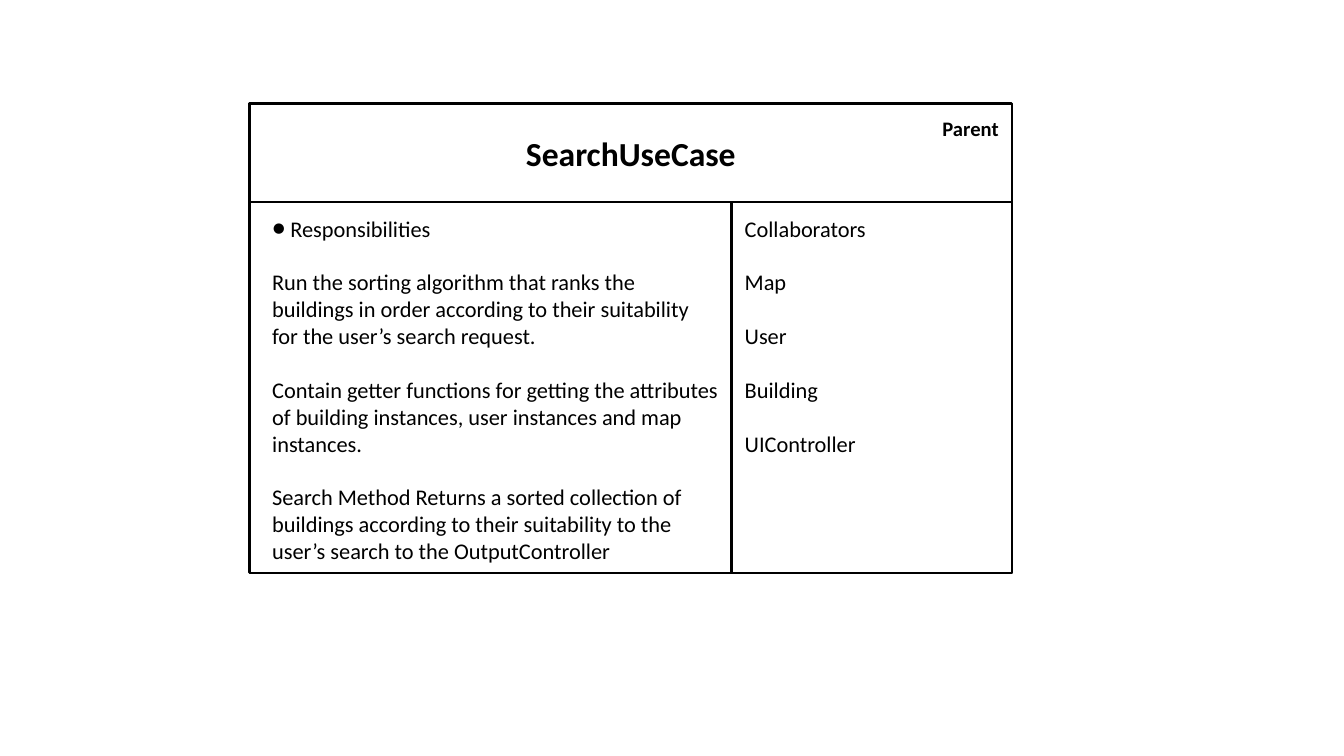
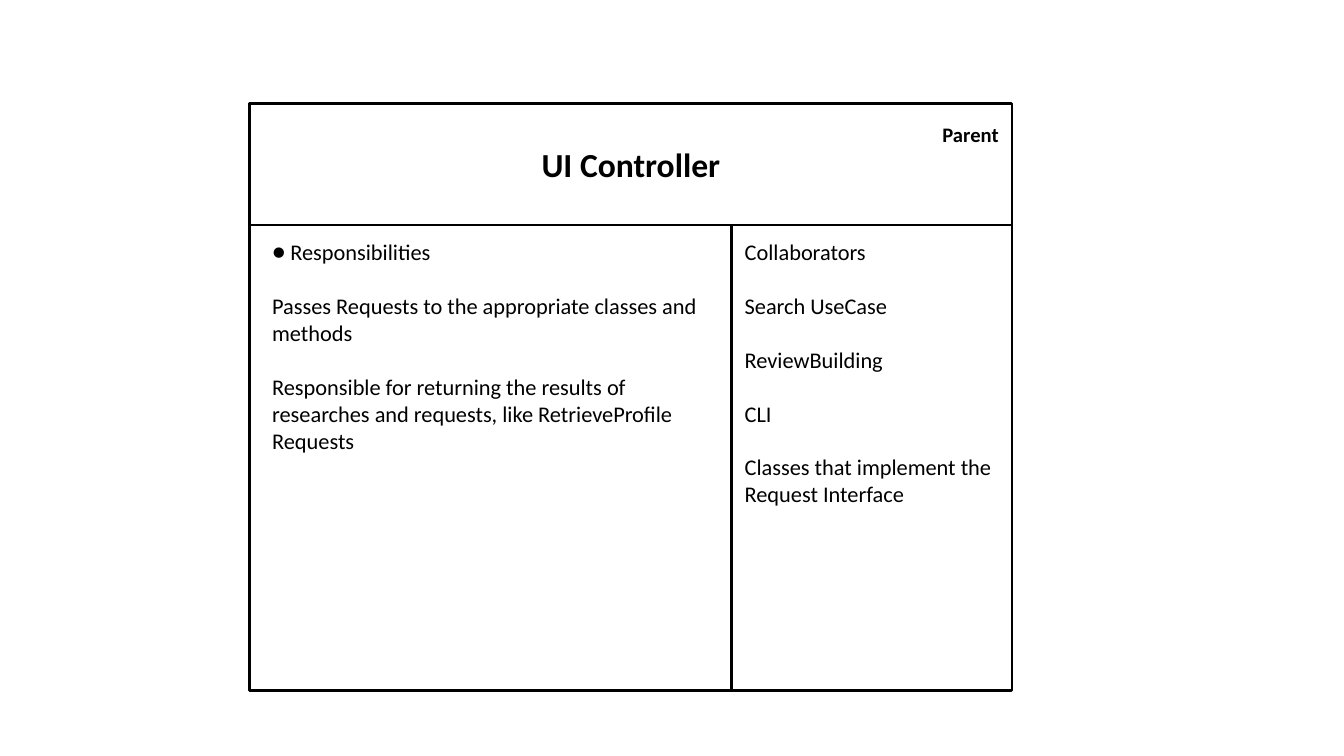
from dataclasses import dataclass
from typing import Any

from lxml import etree
from pptx import Presentation
from pptx.dml.color import RGBColor
from pptx.enum import shapes, text
from pptx.oxml import ns
from pptx.util import Pt


@dataclass(frozen=True)
class Theme:
    ink: RGBColor = RGBColor(0, 0, 0)
    paper: RGBColor = RGBColor(255, 255, 255)
    font: str = "Calibri"
    title_size: float = 24
    label_size: float = 14.7
    body_size: float = 16
    frame_line: float = 2.25
    box_line: float = 1.5
    inset: float = 9.4
    paragraph_gap: float = 19.2


@dataclass(frozen=True)
class Area:
    left: float
    top: float
    width: float
    height: float


@dataclass(frozen=True)
class Card:
    """Content of one class card, with the heights of its two rows."""
    name: str
    header_height: float
    body_height: float
    responsibilities: tuple[str, ...]
    collaborators: tuple[str, ...]


THEME = Theme()
LEFT, TOP = 178.5, 74
LEFT_COLUMN, RIGHT_COLUMN = 344, 200.3
TWO_CONTENT_LAYOUT = 3
LIST_MARGIN = 6.5
BULLET_HANG = 13

CARDS = (
    Card(
        "SearchUseCase", 70, 265,
        (
            "Run the sorting algorithm that ranks the buildings in order "
            "according to their suitability for the user’s search request.",
            "Contain getter functions for getting the attributes of building "
            "instances, user instances and map instances.",
            "Search Method Returns a sorted collection of buildings according "
            "to their suitability to the user’s search to the OutputController",
        ),
        ("Map", "User", "Building", "UIController"),
    ),
    Card(
        "UI Controller", 87, 332,
        (
            "Passes Requests to the appropriate classes and methods",
            "Responsible for returning the results of researches and requests, "
            "like RetrieveProfile Requests",
        ),
        ("Search UseCase", "ReviewBuilding", "CLI",
         "Classes that implement the Request Interface"),
    ),
)


def apply_format(target: Any, values: dict[str, Any]) -> None:
    for name, value in values.items():
        setattr(target, name, value)


def place(box: Any, area: Area) -> None:
    apply_format(box, {
        "left": Pt(area.left), "top": Pt(area.top),
        "width": Pt(area.width), "height": Pt(area.height),
    })


def outline(box: Any, line_width: float) -> None:
    box.fill.solid()
    box.fill.fore_color.rgb = THEME.paper
    box.line.color.rgb = THEME.ink
    box.line.width = Pt(line_width)


def set_indent(para: Any, margin: float, bullet: str = "") -> None:
    """Set the left margin of a paragraph and its bullet, if any."""
    properties = para._p.get_or_add_pPr()
    hang = BULLET_HANG if bullet else 0
    properties.set("marL", str(Pt(margin + hang)))
    properties.set("indent", str(-Pt(hang)))
    if bullet:
        etree.SubElement(properties, ns.qn("a:buFont"), typeface=THEME.font)
        etree.SubElement(properties, ns.qn("a:buChar"), char=bullet)
    else:
        etree.SubElement(properties, ns.qn("a:buNone"))


def write(box: Any, lines: tuple[str, ...], size: float, bold: bool = False,
          align: Any = text.PP_ALIGN.LEFT, anchor: Any = text.MSO_ANCHOR.TOP) -> None:
    frame = box.text_frame
    apply_format(frame, {
        "word_wrap": True, "auto_size": text.MSO_AUTO_SIZE.NONE,
        "vertical_anchor": anchor,
        **{f"margin_{side}": Pt(THEME.inset) for side in ("left", "top", "right", "bottom")},
    })
    for index, line in enumerate(lines):
        para = frame.add_paragraph() if index else frame.paragraphs[0]
        apply_format(para, {
            "alignment": align, "line_spacing": 1.0, "space_after": Pt(0),
            "space_before": Pt(THEME.paragraph_gap if index else 0),
        })
        span = para.add_run()
        span.text = line
        apply_format(span.font, {"name": THEME.font, "size": Pt(size), "bold": bold})
        span.font.color.rgb = THEME.ink


def draw_card(page: Any, card: Card) -> None:
    title, duties, partners = page.placeholders
    width = LEFT_COLUMN + RIGHT_COLUMN
    middle = LEFT + LEFT_COLUMN
    body_top = TOP + card.header_height

    frame = page.shapes.add_shape(shapes.MSO_SHAPE.RECTANGLE, 0, 0, 0, 0)
    frame.shadow.inherit = False
    place(frame, Area(LEFT, TOP, width, card.header_height + card.body_height))
    outline(frame, THEME.frame_line)
    title.element.addprevious(frame.element)

    for box, area in (
        (title, Area(LEFT, TOP, width, card.header_height)),
        (duties, Area(LEFT, body_top, LEFT_COLUMN, card.body_height)),
        (partners, Area(middle, body_top, RIGHT_COLUMN, card.body_height)),
    ):
        place(box, area)
        outline(box, THEME.box_line)

    write(title, (card.name,), THEME.title_size, True,
          text.PP_ALIGN.CENTER, text.MSO_ANCHOR.MIDDLE)
    write(duties, ("Responsibilities", *card.responsibilities), THEME.body_size)
    write(partners, ("Collaborators", *card.collaborators), THEME.body_size)
    for index, para in enumerate(duties.text_frame.paragraphs):
        set_indent(para, LIST_MARGIN, "" if index else "●")
    for para in partners.text_frame.paragraphs:
        set_indent(para, 0)

    label = page.shapes.add_textbox(0, 0, 0, 0)
    place(label, Area(middle, TOP, RIGHT_COLUMN, card.header_height / 2))
    write(label, ("Parent",), THEME.label_size, True,
          text.PP_ALIGN.RIGHT, text.MSO_ANCHOR.MIDDLE)


def main() -> None:
    deck = Presentation()
    apply_format(deck, {"slide_width": Pt(960), "slide_height": Pt(540)})
    for card in CARDS:
        draw_card(deck.slides.add_slide(deck.slide_layouts[TWO_CONTENT_LAYOUT]), card)
    deck.save("out.pptx")


if __name__ == "__main__":
    main()
